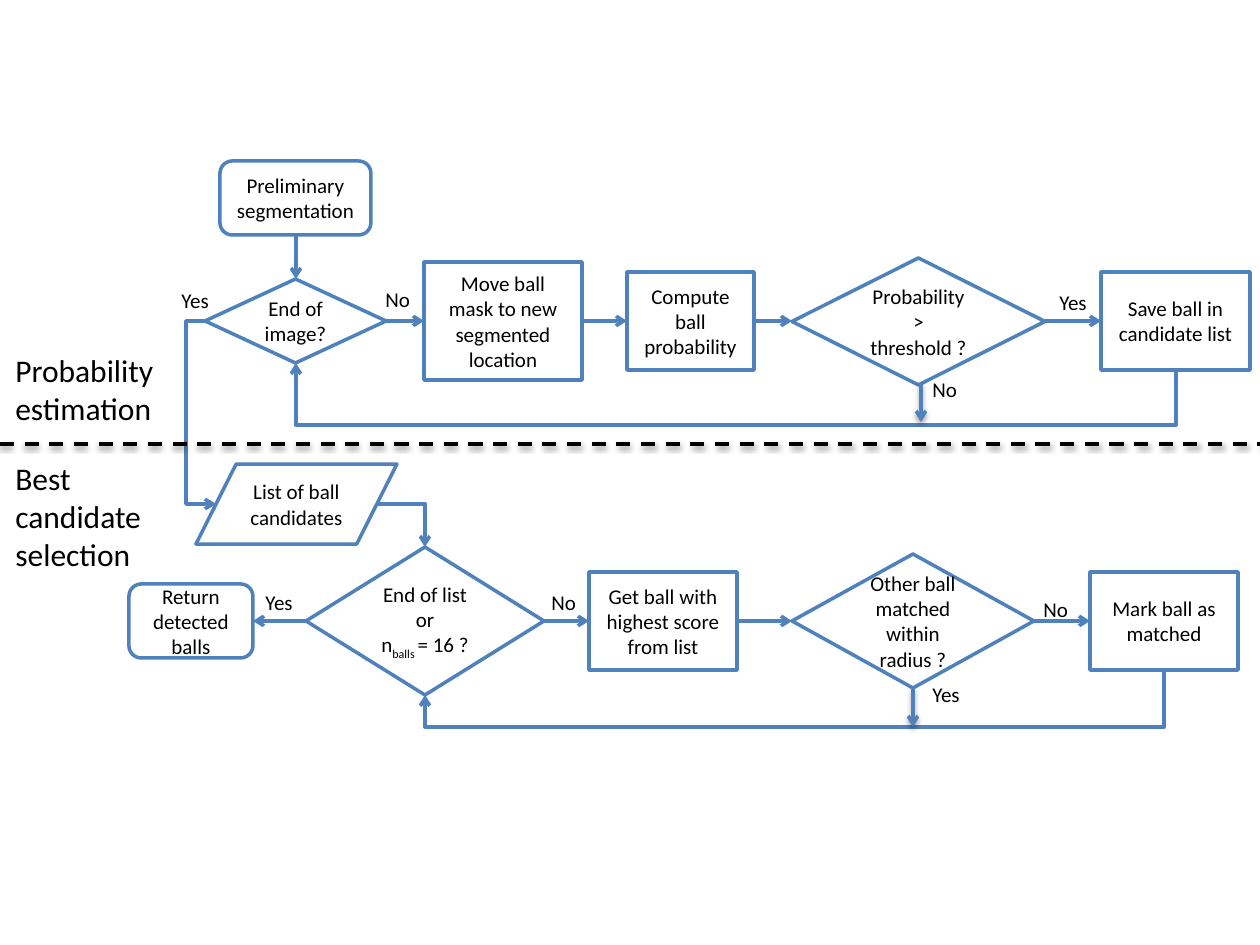
from dataclasses import dataclass

from lxml import etree
from pptx import Presentation
from pptx import util as u
from pptx.dml.color import RGBColor
from pptx.enum import dml, shapes, text
from pptx.oxml import ns

PIXEL = 914400 / 126
KIND = shapes.MSO_SHAPE
LINK = shapes.MSO_CONNECTOR


@dataclass(frozen=True)
class Theme:
    ink: RGBColor = RGBColor(0, 0, 0)
    paper: RGBColor = RGBColor(255, 255, 255)
    flow: RGBColor = RGBColor(0x4F, 0x81, 0xBD)
    font: str = "Calibri"
    body: int = 12
    heading: int = 18
    stroke: int = 2


THEME = Theme()

STEPS = [
    (KIND.FLOWCHART_ALTERNATE_PROCESS, (220, 161, 151, 74), ["Preliminary segmentation"]),
    (KIND.FLOWCHART_DECISION, (205, 279, 181, 84), ["End of image?"]),
    (KIND.FLOWCHART_PROCESS, (424, 262, 158, 118), ["Move ball mask to new segmented location"]),
    (KIND.FLOWCHART_PROCESS, (627, 272, 127, 98), ["Compute ball probability"]),
    (KIND.FLOWCHART_DECISION, (792, 258, 253, 127), ["Probability > threshold ?"]),
    (KIND.FLOWCHART_PROCESS, (1101, 272, 149, 98), ["Save ball in candidate list"]),
    (KIND.FLOWCHART_DATA, (196, 464, 201, 80), ["List of ball candidates"]),
    (KIND.FLOWCHART_ALTERNATE_PROCESS, (129, 584, 124, 74), ["Return detected balls"]),
    (KIND.FLOWCHART_DECISION, (306, 547, 238, 148),
     ["End of list or", [("n", 0), ("balls ", -25), ("= 16 ?", 0)]]),
    (KIND.FLOWCHART_PROCESS, (589, 572, 148, 98), ["Get ball with highest score from list"]),
    (KIND.FLOWCHART_DECISION, (792, 554, 242, 134), ["Other ball matched within radius ?"]),
    (KIND.FLOWCHART_PROCESS, (1090, 572, 148, 98), ["Mark ball as matched"]),
]

ARROWS = [
    ((296, 235), (296, 279)),
    ((386, 321), (424, 321)),
    ((582, 321), (627, 321)),
    ((754, 321), (792, 321)),
    ((1045, 321), (1101, 321)),
    ((306, 621), (253, 621)),
    ((544, 621), (589, 621)),
    ((737, 621), (792, 621)),
    ((1034, 621), (1090, 621)),
]

SHADED_ARROWS = [((921, 383), (921, 422)), ((913, 688), (913, 727))]

LABELS = [
    ("Yes", 169, 281), ("No", 373, 280), ("Yes", 1047, 283), ("No", 920, 370),
    ("Yes", 253, 583), ("No", 539, 583), ("No", 1031, 590), ("Yes", 920, 675),
]


def emu(pixels):
    return u.Emu(round(pixels * PIXEL))


def write(frame, paragraphs, size, align):
    frame.word_wrap = True
    for index, content in enumerate(paragraphs):
        para = frame.paragraphs[0] if index == 0 else frame.add_paragraph()
        para.alignment = align
        spans = [(content, 0)] if isinstance(content, str) else content
        for words, baseline in spans:
            span = para.add_run()
            span.text = words
            span.font.name = THEME.font
            span.font.size = u.Pt(size)
            span.font.color.rgb = THEME.ink
            if baseline:
                span._r.get_or_add_rPr().set("baseline", str(baseline * 1000))


def add_step(page, kind, bounds, paragraphs):
    box = page.shapes.add_shape(kind, *map(emu, bounds))
    box.shadow.inherit = False
    box.fill.solid()
    box.fill.fore_color.rgb = THEME.paper
    box.line.color.rgb = THEME.flow
    box.line.width = u.Pt(THEME.stroke)
    box.text_frame.vertical_anchor = text.MSO_ANCHOR.MIDDLE
    write(box.text_frame, paragraphs, THEME.body, text.PP_ALIGN.CENTER)


def add_caption(page, bounds, paragraphs, size):
    box = page.shapes.add_textbox(*map(emu, bounds))
    write(box.text_frame, paragraphs, size, text.PP_ALIGN.LEFT)
    box.text_frame.auto_size = text.MSO_AUTO_SIZE.SHAPE_TO_FIT_TEXT


def child(parent, tag, **attributes):
    return etree.SubElement(parent, ns.qn(tag), attributes)


def add_line(page, start, end, kind=LINK.STRAIGHT, color=THEME.flow, arrow=True, shaded=False):
    line = page.shapes.add_connector(kind, *map(emu, (*start, *end)))
    line.line.color.rgb = color
    line.line.width = u.Pt(THEME.stroke)
    if arrow:
        child(line.line._get_or_add_ln(), "a:tailEnd", type="arrow")
    effects = child(line._element.spPr, "a:effectLst")
    if shaded:
        shadow = child(effects, "a:outerShdw", blurRad="40000", dist="20000",
                       dir="5400000", rotWithShape="0")
        child(child(shadow, "a:srgbClr", val="000000"), "a:alpha", val="38000")
    return line


def add_elbow(page, start, end, bend, upright=False):
    axis = 1 if upright else 0
    ratio = (bend - start[axis]) / (end[axis] - start[axis])
    if upright:
        middle = [(a + b) / 2 for a, b in zip(start, end)]
        start, end = [(middle[0] + y - middle[1], middle[1] - x + middle[0])
                      for x, y in (start, end)]
    elbow = add_line(page, start, end, LINK.ELBOW)
    elbow.rotation = 90 if upright else 0
    guides = elbow._element.spPr.find(ns.qn("a:prstGeom")).find(ns.qn("a:avLst"))
    child(guides, "a:gd", name="adj1", fmla=f"val {round(ratio * 100000)}")


def add_corner(page, start, end):
    corner = add_line(page, start, end, LINK.ELBOW)
    corner._element.spPr.find(ns.qn("a:prstGeom")).set("prst", "bentConnector2")


def main():
    deck = Presentation()
    deck.slide_width, deck.slide_height = emu(1260), emu(945)
    page = deck.slides.add_slide(deck.slide_layouts[6])

    for start, end in ARROWS:
        add_line(page, start, end)
    add_elbow(page, (1176, 370), (296, 363), bend=425, upright=True)
    add_elbow(page, (1164, 670), (425, 695), bend=727, upright=True)
    add_elbow(page, (205, 321), (216, 504), bend=186)
    add_corner(page, (377, 504), (425, 547))
    for step in STEPS:
        add_step(page, *step)
    for start, end in SHADED_ARROWS:
        add_line(page, start, end, shaded=True)
    for words, left, top in LABELS:
        add_caption(page, (left, top, 83, 38), [words], THEME.body)

    divider = add_line(page, (0, 444), (1260, 444), color=THEME.ink, arrow=False, shaded=True)
    divider.line.dash_style = dml.MSO_LINE.DASH
    add_caption(page, (3, 345, 164, 89), ["Probability", "estimation"], THEME.heading)
    add_caption(page, (3, 453, 164, 127), ["Best", "candidate", "selection"], THEME.heading)
    deck.save("out.pptx")


main()
